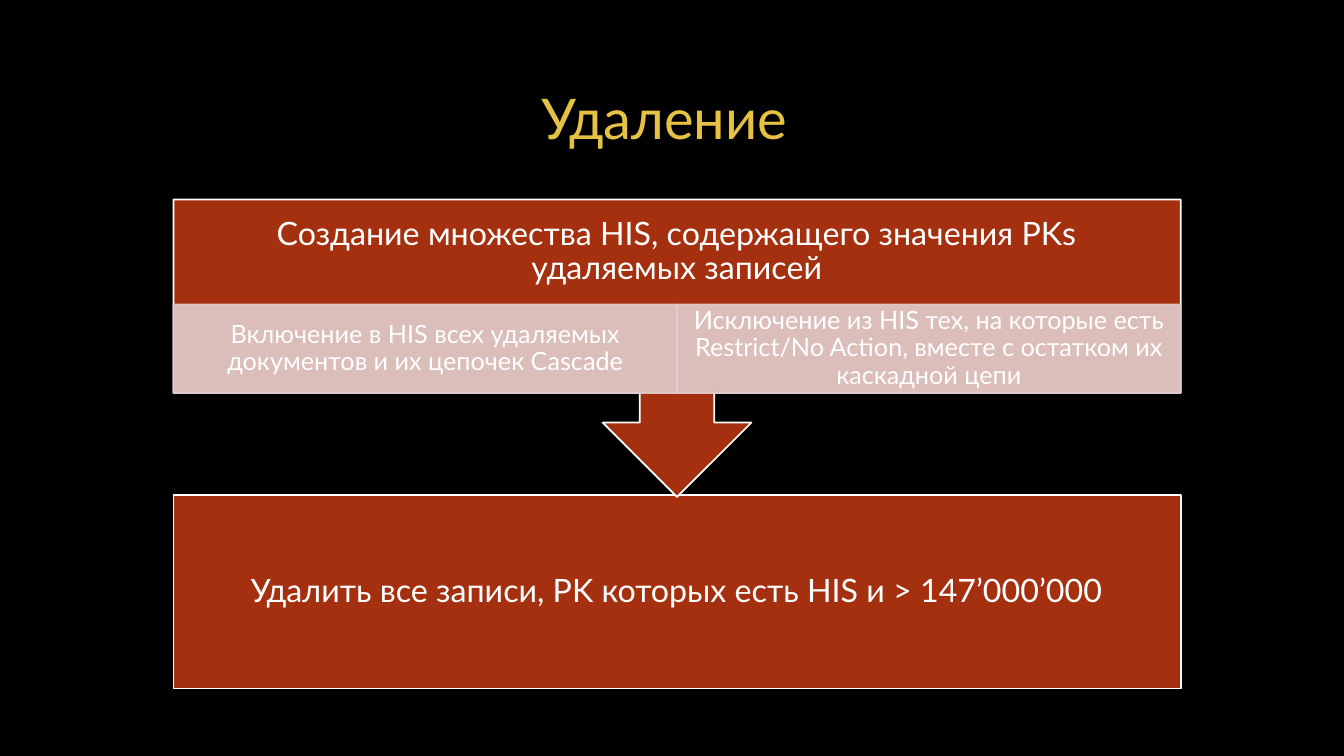
from dataclasses import dataclass

from pptx import Presentation
from pptx import util as u
from pptx.dml.color import RGBColor
from pptx.enum import shapes, text
from pptx.oxml.ns import qn
from lxml import etree

FONT = "Lato"
COLORS = {
    "background": "000000",
    "title": "E5C243",
    "step": "A5300F",
    "detail": "E1CDCC",
    "white": "FFFFFF",
}
LEFT, WIDTH = 1.72, 9.99
HEADING_TOP, HEADING_HEIGHT = 1.98, 1.04
DETAIL_TOP = HEADING_TOP + HEADING_HEIGHT
DETAIL_WIDTH = WIDTH / 2


@dataclass
class Box:
    left: float
    top: float
    width: float
    height: float
    words: str = ""
    size: int = 23
    inset_x: float = 0.18
    inset_y: float = 0.18
    color: str = "step"
    line: str = "white"
    opacity: int = 100
    preset: shapes.MSO_SHAPE = shapes.MSO_SHAPE.RECTANGLE
    rotation: int = 0


def rgb(name: str) -> RGBColor:
    return RGBColor.from_string(COLORS[name])


def inches(*lengths: float) -> list:
    return [u.Inches(length) for length in lengths]


def write(tf, words: str, size: int, color: str, inset_x: float, inset_y: float) -> None:
    tf.word_wrap = True
    tf.auto_size = text.MSO_AUTO_SIZE.NONE
    tf.vertical_anchor = text.MSO_ANCHOR.MIDDLE
    tf.margin_left = tf.margin_right = u.Inches(inset_x)
    tf.margin_top = tf.margin_bottom = u.Inches(inset_y)
    p = tf.paragraphs[0]
    p.alignment = text.PP_ALIGN.CENTER
    p.line_spacing = 0.9
    r = p.add_run()
    r.text = words
    r.font.name = FONT
    r.font.size = u.Pt(size)
    r.font.color.rgb = rgb(color)


def draw(s, box: Box) -> None:
    sp = s.shapes.add_shape(box.preset, *inches(box.left, box.top, box.width, box.height))
    sp.shadow.inherit = False
    sp.rotation = box.rotation
    sp.fill.solid()
    sp.fill.fore_color.rgb = rgb(box.color)
    sp.line.color.rgb = rgb(box.line)
    sp.line.width = u.Pt(1.25)
    if box.opacity < 100:
        for color in sp._element.spPr.iter(qn("a:srgbClr")):
            etree.SubElement(color, qn("a:alpha"), val=str(box.opacity * 1000))
    if box.words:
        write(sp.text_frame, box.words, box.size, "white", box.inset_x, box.inset_y)


def main() -> None:
    prs = Presentation()
    prs.slide_width, prs.slide_height = inches(13.33, 7.5)
    s = prs.slides.add_slide(prs.slide_layouts[5])
    s.background.fill.solid()
    s.background.fill.fore_color.rgb = rgb("background")

    title = s.shapes.title
    title.left, title.top, title.width, title.height = inches(1, 0.67, 11.32, 1.06)
    write(title.text_frame, "Удаление ", 40, "title", 0.1, 0.05)

    draw(s, Box(LEFT, 4.91, WIDTH, 1.92,
                "Удалить все записи, PK которых есть HIS и > 147’000’000"))
    draw(s, Box(LEFT, HEADING_TOP, WIDTH, 2.95,
                preset=shapes.MSO_SHAPE.UP_ARROW_CALLOUT, rotation=180))

    heading = s.shapes.add_textbox(*inches(LEFT, HEADING_TOP, WIDTH, HEADING_HEIGHT))
    write(heading.text_frame,
          "Создание множества HIS, содержащего значения PKs удаляемых записей",
          23, "white", 0.18, 0.18)

    details = [
        "Включение в HIS всех удаляемых документов и их цепочек Cascade",
        "Исключение из HIS тех, на которые есть Restrict/No Action, "
        "вместе с остатком их каскадной цепи",
    ]
    for i, words in enumerate(details):
        draw(s, Box(LEFT + i * DETAIL_WIDTH, DETAIL_TOP, DETAIL_WIDTH, 0.88, words,
                    size=18, inset_x=0.14, inset_y=0.03,
                    color="detail", line="detail", opacity=90))

    prs.save("out.pptx")


if __name__ == "__main__":
    main()
